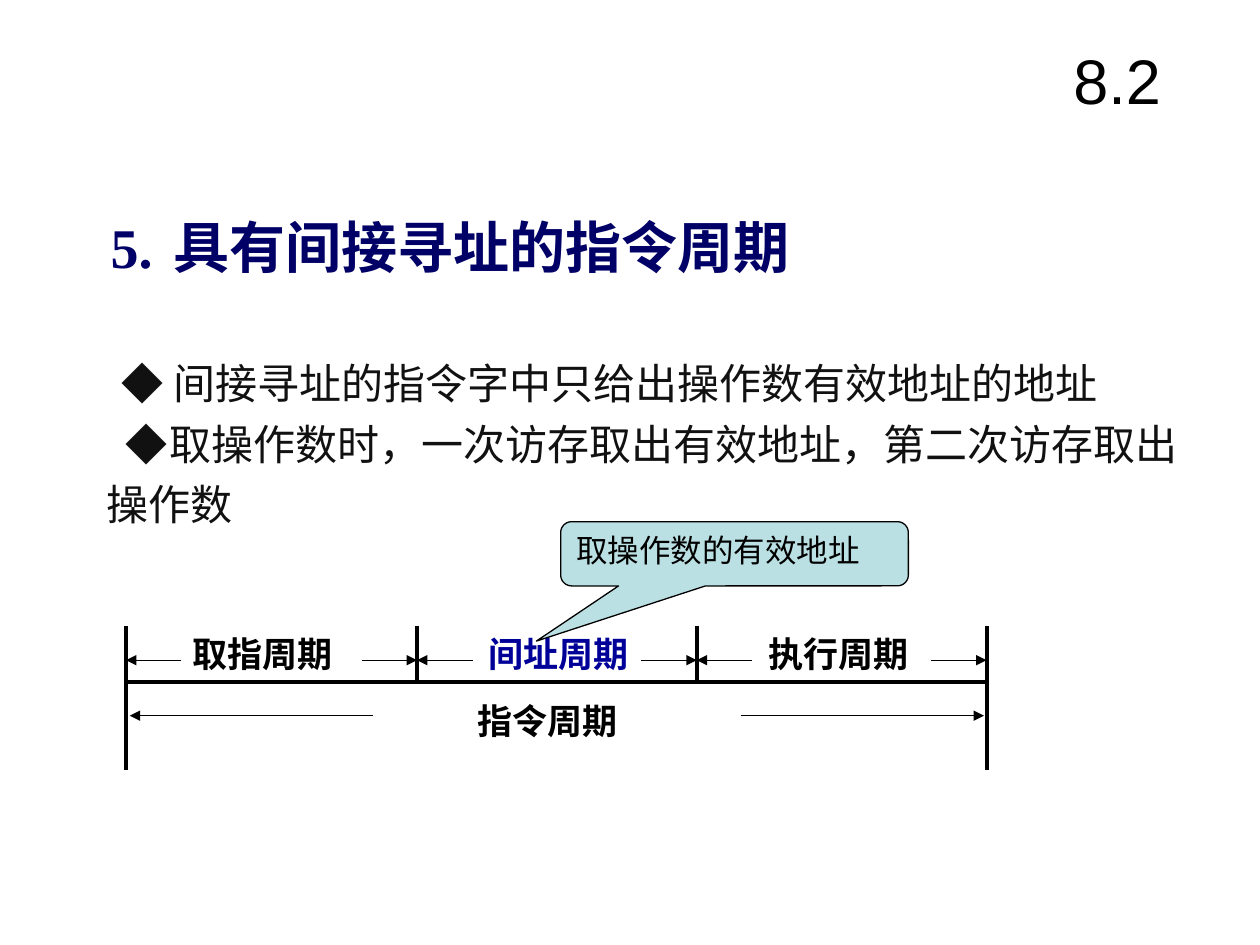
from lxml import etree
from pptx import Presentation
from pptx.dml.color import RGBColor
from pptx.enum import shapes, text
from pptx.oxml import ns
from pptx.util import Inches, Pt

BLACK = RGBColor(0x00, 0x00, 0x00)
INK = RGBColor(0x11, 0x11, 0x11)
NAVY = RGBColor(0x00, 0x00, 0x66)
BLUE = RGBColor(0x00, 0x00, 0x99)
PALE_TEAL = RGBColor(0xBB, 0xE0, 0xE3)
CJK = "Noto Sans CJK SC"
SERIF = "Times New Roman"

HEADING = {"size": Pt(32), "bold": True}
LABEL = {"size": Pt(20), "bold": True, "name": SERIF}
BODY = {"size": Pt(24), "name": CJK}


def add_run(paragraph, words, color, style):
    run = paragraph.add_run()
    run.text = words
    for attribute, value in style.items():
        setattr(run.font, attribute, value)
    run.font.color.rgb = color
    east_asian = etree.SubElement(run.font._element, ns.qn("a:ea"))
    east_asian.set("typeface", CJK)


def set_indent(paragraph, first_line, tab=None):
    """Indent the first line and, if given, set one left tab stop (inches)."""
    properties = paragraph._p.get_or_add_pPr()
    properties.set("marL", "0")
    properties.set("indent", str(Inches(first_line)))
    if tab:
        stops = etree.SubElement(properties, ns.qn("a:tabLst"))
        etree.SubElement(stops, ns.qn("a:tab"), pos=str(Inches(tab)), algn="l")


def add_text_frame(parent, left, top, width, height, wrap=True):
    box = parent.add_textbox(Inches(left), Inches(top), Inches(width), Inches(height))
    box.text_frame.word_wrap = wrap
    return box.text_frame


def add_line(parent, start, end, weight, arrow=False):
    line = parent.add_connector(
        shapes.MSO_CONNECTOR.STRAIGHT, *(Inches(value) for value in (*start, *end)))
    line.line.color.rgb = BLACK
    line.line.width = Pt(weight)
    if arrow:
        etree.SubElement(line.line._get_or_add_ln(), ns.qn("a:tailEnd"), type="triangle")
    etree.SubElement(line._element.spPr, ns.qn("a:effectLst"))


def add_section_number(slide, left, top, width, height):
    frame = add_text_frame(slide.shapes, left, top, width, height)
    frame.vertical_anchor = text.MSO_ANCHOR.MIDDLE
    add_run(frame.paragraphs[0], "8.2", BLACK, {"size": Pt(36), "name": "Arial"})


def add_heading(slide, left, top, width, height):
    paragraph = add_text_frame(slide.shapes, left, top, width, height).paragraphs[0]
    set_indent(paragraph, 0, tab=0.63)
    add_run(paragraph, "5.\t", NAVY, {**HEADING, "name": SERIF})
    add_run(paragraph, "具有间接寻址的指令周期", NAVY, {**HEADING, "name": CJK})


def add_points(slide, left, top, width, height):
    frame = add_text_frame(slide.shapes, left, top, width, height)
    points = [
        ("◆ 间接寻址的指令字中只给出操作数有效地址的地址", 0.12, None),
        ("◆\t取操作数时，一次访存取出有效地址，第二次访存取出操作数", 0.15, 0.61),
    ]
    for index, (words, first_line, tab) in enumerate(points):
        paragraph = frame.add_paragraph() if index else frame.paragraphs[0]
        set_indent(paragraph, first_line, tab)
        paragraph.line_spacing = 1.2
        add_run(paragraph, words, INK, BODY)


def add_cycle_diagram(slide, left, top, width, height):
    """Timeline of three phases above the span of the whole instruction cycle."""
    diagram = slide.shapes.add_group_shape().shapes
    right = left + width
    axis = top + 0.44
    phase_level, cycle_level = top + 0.27, top + 0.71
    bounds = [left, left + 2.31, left + 4.53, right]
    phases = [("取指周期", BLACK, 0.43), ("间址周期", BLUE, 0.47), ("执行周期", BLACK, 0.47)]

    add_line(diagram, (left, axis), (right, axis), 2.25)
    for bound in bounds:
        bottom = top + height if bound in (left, right) else axis
        add_line(diagram, (bound, top), (bound, bottom), 2.25)

    labels = [(name, color, start + offset, top)
              for (name, color, offset), start in zip(phases, bounds)]
    labels.append(("指令周期", BLACK, left + 2.69, top + 0.53))
    for name, color, label_left, label_top in labels:
        frame = add_text_frame(diagram, label_left, label_top, 1.31, 0.44, wrap=False)
        add_run(frame.paragraphs[0], name, color, LABEL)

    spans = [(start, end, phase_level, 0.44) for start, end in zip(bounds, bounds[1:])]
    spans.append((left + 0.03, right - 0.02, cycle_level, 1.93))
    for start, end, level, length in spans:
        add_line(diagram, (start + length, level), (start, level), 0.75, arrow=True)
        add_line(diagram, (end - length, level), (end, level), 0.75, arrow=True)


def add_callout(slide, left, top, width, height):
    callout = slide.shapes.add_shape(
        shapes.MSO_SHAPE.ROUNDED_RECTANGULAR_CALLOUT,
        Inches(left), Inches(top), Inches(width), Inches(height))
    for index, value in enumerate((-0.57, 1.36, 0.17)):
        callout.adjustments[index] = value
    callout.shadow.inherit = False
    callout.fill.solid()
    callout.fill.fore_color.rgb = PALE_TEAL
    callout.line.color.rgb = BLACK
    callout.line.width = Pt(0.75)
    frame = callout.text_frame
    frame.vertical_anchor = text.MSO_ANCHOR.TOP
    paragraph = frame.paragraphs[0]
    paragraph.alignment = text.PP_ALIGN.LEFT
    add_run(paragraph, "取操作数的有效地址", BLACK, {"size": Pt(18), "name": "Arial"})


def main():
    presentation = Presentation()
    presentation.slide_width = Inches(10)
    presentation.slide_height = Inches(7.5)
    slide = presentation.slides.add_slide(presentation.slide_layouts[6])
    add_heading(slide, 0.78, 1.64, 6.25, 0.64)
    add_cycle_diagram(slide, 1, 4.97, 6.83, 1.14)
    add_section_number(slide, 8.42, 0.17, 1.25, 0.92)
    add_points(slide, 0.75, 2.71, 8.74, 1.54)
    add_callout(slide, 4.45, 4.14, 2.76, 0.51)
    presentation.save("out.pptx")


if __name__ == "__main__":
    main()
